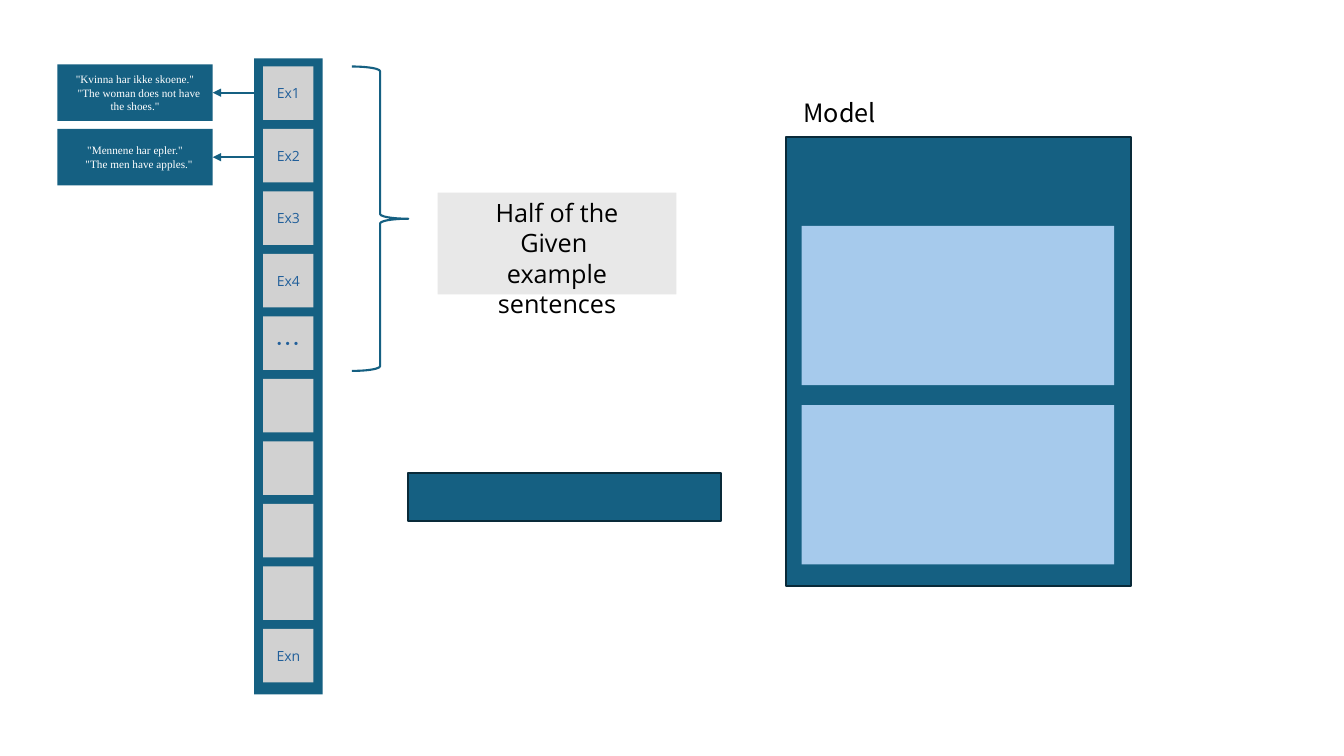
from typing import NamedTuple

from pptx import Presentation
from pptx.dml.color import RGBColor
from pptx.enum.shapes import MSO_CONNECTOR, MSO_SHAPE
from pptx.enum.text import MSO_ANCHOR, PP_ALIGN
from pptx.oxml.ns import qn
from pptx.util import Emu, Pt
from lxml import etree

RECT, BRACE = MSO_SHAPE.RECTANGLE, MSO_SHAPE.RIGHT_BRACE
STRAIGHT = MSO_CONNECTOR.STRAIGHT
TOP, MIDDLE = MSO_ANCHOR.TOP, MSO_ANCHOR.MIDDLE
LEFT, CENTER = PP_ALIGN.LEFT, PP_ALIGN.CENTER

SCALE = 9144  # EMU per px, 100 px to the inch
SANS, CJK, SERIF = "Open Sans", "Noto Sans CJK KR", "Times New Roman"
TEAL, NAVY, SKY = "156082", "092A39", "A6CAEC"
GREY, PALE, BLUE = "D1D1D1", "E8E8E8", "215F9A"
BLACK, WHITE = "000000", "FFFFFF"


class Box(NamedTuple):
    x: int
    y: int
    w: int
    h: int
    fill: str | None = None
    line: str | None = None


class Pair(NamedTuple):
    source: str
    gloss: str


STRIP = Box(252, 58, 68, 631, TEAL)
CELLS = ["Ex1", "Ex2", "Ex3", "Ex4", "…", "", "", "", "", "Exn"]
CELL_TOP, CELL_STEP = 66, 62
PAIRS = [
    Pair('"Kvinna har ikke skoene."', '"The woman does not have the shoes."'),
    Pair('"Mennene har epler."', '"The men have apples."'),
]
PAIR_TOP, PAIR_STEP = 64, 64
HALF = Box(434, 191, 237, 101, PALE)
TITLE = Box(787, 92, 93, 40)
PANELS = [
    Box(780, 136, 342, 445, TEAL, NAVY),
    Box(795, 224, 310, 158, SKY),
    Box(795, 402, 310, 158, SKY),
    Box(405, 469, 310, 48, TEAL, NAVY),
]


def px(n: int) -> Emu:
    return Emu(n * SCALE)


def color(code: str) -> RGBColor:
    return RGBColor.from_string(code)


def draw(slide, box: Box, kind=RECT):
    shape = slide.shapes.add_shape(kind, *map(px, box[:4]))
    shape.shadow.inherit = False
    if box.fill:
        shape.fill.solid()
        shape.fill.fore_color.rgb = color(box.fill)
    else:
        shape.fill.background()
    if box.line:
        shape.line.color.rgb = color(box.line)
        shape.line.width = Pt(1.5)
    else:
        shape.line.fill.background()
    return shape


def write(shape, lines: list[str], *, size: int, font: str, ink: str,
          align=CENTER, anchor=MIDDLE, wrap: bool = True,
          indent: int = 0) -> None:
    """Fill a shape with paragraphs; the indent applies after the first."""
    frame = shape.text_frame
    frame.word_wrap = wrap
    frame.vertical_anchor = anchor
    for i, line in enumerate(lines):
        para = frame.add_paragraph() if i else frame.paragraphs[0]
        para.alignment = align
        if i and indent:
            para._p.get_or_add_pPr().set("indent", str(px(indent)))
        run = para.add_run()
        run.text = line
        run.font.size = Pt(size)
        run.font.name = font
        run.font.color.rgb = color(ink)


def arrow(slide, x: int, y: int, goal) -> None:
    """Draw an arrow from a point to the right side of a box."""
    link = slide.shapes.add_connector(STRAIGHT, px(x), px(y), px(x), px(y))
    link.end_connect(goal, 3)
    link.line.color.rgb = color(TEAL)
    link.line.width = Pt(1.5)
    etree.SubElement(link.line._get_or_add_ln(), qn("a:tailEnd"),
                     type="triangle")
    etree.SubElement(link._element.spPr, qn("a:effectLst"))


def main() -> None:
    deck = Presentation()
    deck.slide_width, deck.slide_height = px(1333), px(750)
    slide = deck.slides.add_slide(deck.slide_layouts[6])

    # Strip of examples
    draw(slide, STRIP)
    for i, name in enumerate(CELLS):
        cell = draw(slide, Box(261, CELL_TOP + i * CELL_STEP, 50, 53, GREY))
        if name == "…":
            write(cell, [name], size=18, font=CJK, ink=BLUE)
        elif name:
            write(cell, [name], size=10, font=SANS, ink=BLUE)

    # Brace and its label
    draw(slide, Box(349, 66, 56, 302, line=TEAL), BRACE)
    write(draw(slide, HALF), ["Half of the", "Given ", "example sentences"],
          size=18, font=SANS, ink=BLACK, anchor=TOP)

    # Sentence pairs with arrows from the strip
    for i, pair in enumerate(PAIRS):
        box = Box(57, PAIR_TOP + i * PAIR_STEP, 154, 56, TEAL)
        card = draw(slide, box)
        write(card, list(pair), size=8, font=SERIF, ink=WHITE, indent=8)
        arrow(slide, STRIP.x, box.y + box.h // 2, card)

    # Model and the loose bar
    for panel in PANELS:
        draw(slide, panel)
    title = slide.shapes.add_textbox(*map(px, TITLE[:4]))
    write(title, ["Model"], size=18, font=CJK, ink=BLACK, align=LEFT,
          anchor=TOP, wrap=False)

    deck.save("out.pptx")


if __name__ == "__main__":
    main()
